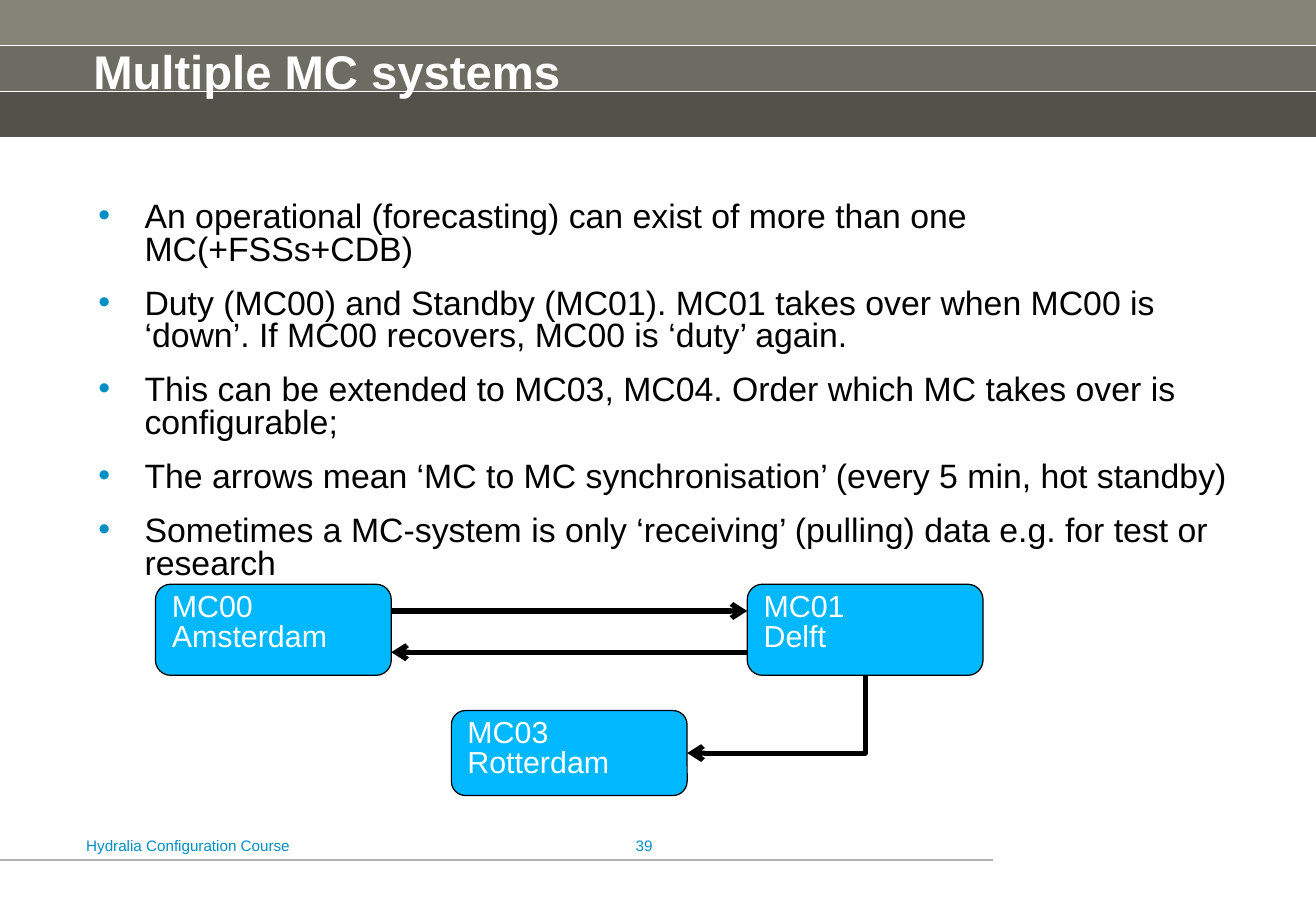
from pptx import Presentation, util as u
from pptx.dml.color import RGBColor
from pptx.enum import shapes, text
from pptx.oxml.ns import qn
from lxml import etree

WIDTH, HEIGHT = 10.83, 7.5
BLUE, ACCENT, BLACK, WHITE = "00B8FF", "008FC5", "000000", "FFFFFF"

deck = Presentation()
deck.slide_width, deck.slide_height = u.Inches(WIDTH), u.Inches(HEIGHT)
slide = deck.slides.add_slide(deck.slide_layouts[6])


def inches(*lengths):
    return [u.Inches(length) for length in lengths]


def paint(target, color):
    target.solid()
    target.fore_color.rgb = RGBColor.from_string(color)


def add_xml(parent, tag, **attributes):
    return etree.SubElement(parent, qn(tag), attributes)


def write(frame, lines, size, color=BLACK, bold=False, align="LEFT",
          spacing=0.8, after=0, inset=None, bullet=None):
    frame.word_wrap = True
    frame.vertical_anchor = text.MSO_ANCHOR.TOP
    if inset is not None:
        frame.margin_left = frame.margin_right = u.Inches(inset)
        frame.margin_top = frame.margin_bottom = u.Inches(inset)
    for number, line in enumerate(lines):
        paragraph = frame.add_paragraph() if number else frame.paragraphs[0]
        paragraph.alignment = text.PP_ALIGN[align]
        paragraph.line_spacing = spacing
        paragraph.space_after = u.Pt(after)
        run = paragraph.add_run()
        run.text = line
        run.font.name, run.font.size, run.font.bold = "Arial", u.Pt(size), bold
        run.font.color.rgb = RGBColor.from_string(color)
        if bullet:
            props = paragraph._p.get_or_add_pPr()
            props.set("marL", str(u.Inches(0.48)))
            props.set("indent", str(u.Inches(-0.38)))
            add_xml(add_xml(props, "a:buClr"), "a:srgbClr", val=bullet)
            add_xml(props, "a:buFont", typeface="Arial")
            add_xml(props, "a:buChar", char="•")


def add_text(box, lines, size, **style):
    write(slide.shapes.add_textbox(*inches(*box)).text_frame, lines, size, **style)


def add_block(kind, box, fill, border=None, opacity=None):
    block = slide.shapes.add_shape(kind, *inches(*box))
    block.shadow.inherit = False
    paint(block.fill, fill)
    if opacity:
        tint = block.fill._xPr.find(qn("a:solidFill"))[0]
        add_xml(tint, "a:alpha", val=str(opacity * 1000))
    if border:
        paint(block.line.fill, border)
        block.line.width = u.Pt(0.75)
    else:
        block.line.fill.background()
    return block


def add_line(start, end, color, width, arrow=False, kind="STRAIGHT"):
    line = slide.shapes.add_connector(shapes.MSO_CONNECTOR[kind], *inches(*start, *end))
    paint(line.line.fill, color)
    line.line.width = u.Pt(width)
    if arrow:
        add_xml(line.line._get_or_add_ln(), "a:tailEnd", type="arrow")
    add_xml(line._element.spPr, "a:effectLst")
    return line


def add_corner_arrow(start, end):
    """Runs down from start, then left to end: a one-bend connector turned by 90°."""
    (x1, y1), (x2, y2) = start, end
    across, down = x1 - x2, y2 - y1
    mid_x, mid_y = (x1 + x2) / 2, (y1 + y2) / 2
    arrow = add_line((mid_x - down / 2, mid_y - across / 2),
                     (mid_x + down / 2, mid_y + across / 2), BLACK, 3, True, "ELBOW")
    props = arrow._element.spPr
    props.find(qn("a:xfrm")).set("rot", "5400000")
    props.find(qn("a:prstGeom")).set("prst", "bentConnector2")


def header(box, title):
    left, top, width, height = box
    rectangle = shapes.MSO_SHAPE.RECTANGLE
    band = height / 3
    add_block(rectangle, box, "A6A698")
    for row, opacity in enumerate((20, 35, 50)):
        add_block(rectangle, (left, top + row * band, width, band), BLACK, opacity=opacity)
    for row in (1, 2, 3):
        y = top + row * band
        add_line((left, y), (left + width, y), WHITE, 0.75)
    add_text((left + 0.67, top + 0.39, 9.17, 0.85), [title], 28, color=WHITE, bold=True)


def footer(box, course, page):
    left, top, width, height = box
    style = dict(color=ACCENT, spacing=0.92, inset=0)
    add_line((left + width, top + 0.18), (left, top + 0.18), "B2B2B2", 0.75)
    add_text((left + 0.71, top, 2.67, height), [course], 9, **style)
    add_text((left + 4.86, top, 0.51, height), [page], 9, align="RIGHT", **style)


def systems(box):
    left, top, width, height = box
    node_width, node_height, low_height = 1.94, 0.75, 0.7
    step = (width - node_width) / 2
    low_top = top + height - low_height
    nodes = [
        (0, top, node_height, ["MC00", "Amsterdam"]),
        (2, top, node_height, ["MC01", "Delft"]),
        (1, low_top, low_height, ["MC03", "Rotterdam"]),
    ]
    for column, y, tall, label in nodes:
        node = add_block(shapes.MSO_SHAPE.ROUNDED_RECTANGLE,
                         (left + column * step, y, node_width, tall), BLUE, BLACK)
        write(node.text_frame, label, 18, color=WHITE)
    # Synchronisation arrows
    duty, standby = left + node_width, left + 2 * step
    add_line((duty, top + 0.22), (standby, top + 0.22), BLACK, 3, arrow=True)
    add_line((standby, top + 0.56), (duty, top + 0.56), BLACK, 3, arrow=True)
    add_corner_arrow((standby + node_width / 2, top + node_height),
                     (left + step + node_width, low_top + low_height / 2))


points = [
    "An operational (forecasting) can exist of more than one MC(+FSSs+CDB)",
    "Duty (MC00) and Standby (MC01). MC01 takes over when MC00 is ‘down’. "
    "If MC00 recovers, MC00 is ‘duty’ again.",
    "This can be extended to MC03, MC04. Order which MC takes over is configurable;",
    "The arrows mean ‘MC to MC synchronisation’ (every 5 min, hot standby)",
    "Sometimes a MC-system is only ‘receiving’ (pulling) data e.g. for test or research",
]

header((0, 0, WIDTH, 1.13), "Multiple MC systems")
add_text((0.71, 1.67, 9.54, 4.7), points, 20, after=12.9, inset=0, bullet=ACCENT)
footer((0, 6.9, 8.17, 0.35), "Hydralia Configuration Course", "39")
systems((1.28, 4.81, 6.81, 1.74))

deck.save("out.pptx")
